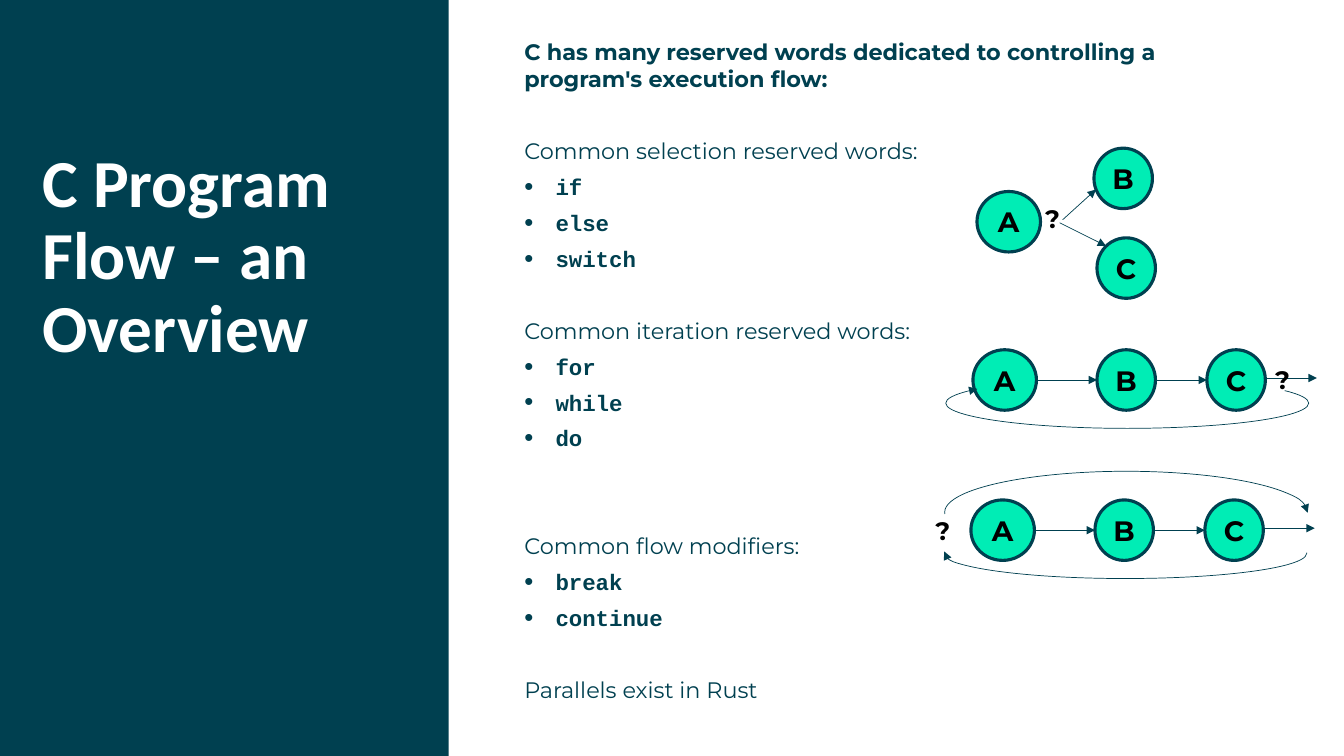
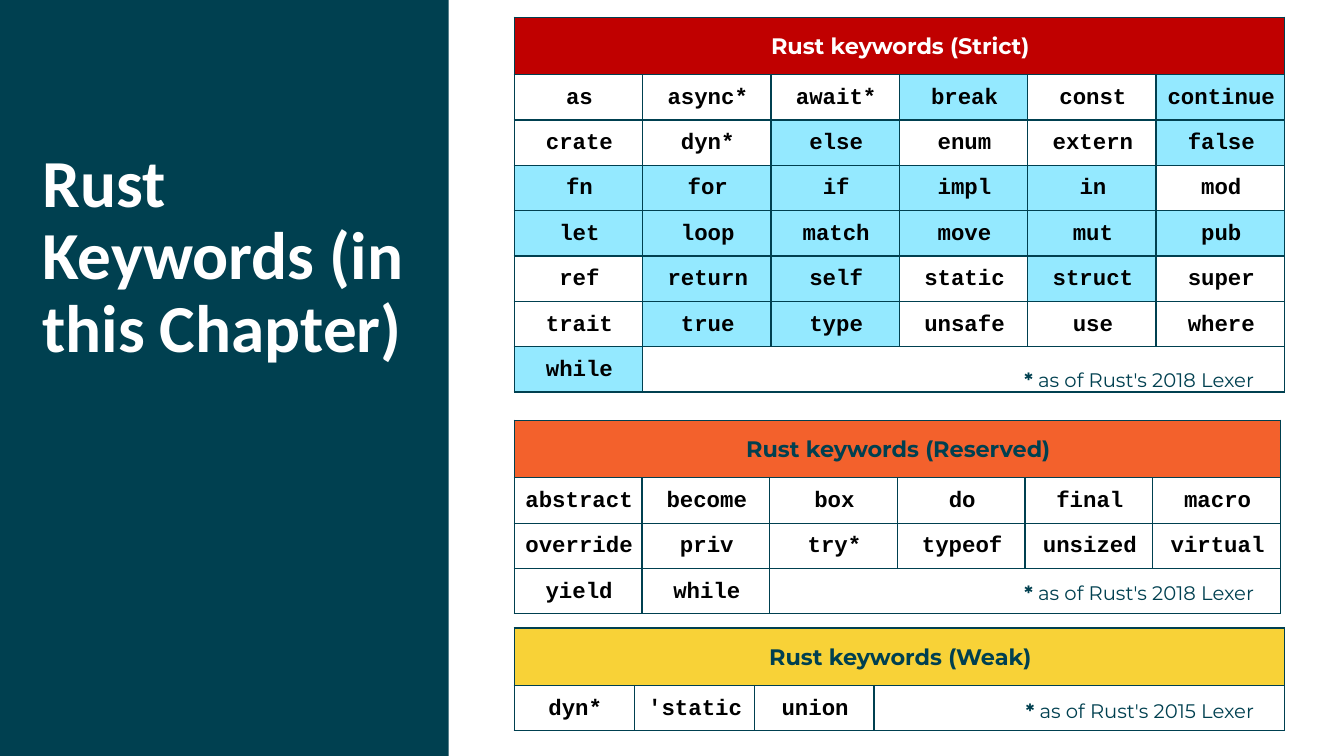
from dataclasses import dataclass

from lxml import etree
from pptx import Presentation
from pptx.dml.color import RGBColor
from pptx.enum.shapes import MSO_CONNECTOR, MSO_SHAPE
from pptx.enum.text import MSO_ANCHOR, PP_ALIGN
from pptx.oxml.ns import qn
from pptx.util import Inches, Pt

RECT, OVAL, ARC = MSO_SHAPE.RECTANGLE, MSO_SHAPE.OVAL, MSO_SHAPE.ARC
STRAIGHT = MSO_CONNECTOR.STRAIGHT
LEFT, CENTER, RIGHT = PP_ALIGN.LEFT, PP_ALIGN.CENTER, PP_ALIGN.RIGHT
MIDDLE = MSO_ANCHOR.MIDDLE


@dataclass(frozen=True)
class Theme:
    dark: str = "004050"
    white: str = "FFFFFF"
    black: str = "000000"
    node: str = "00EDB5"
    used: str = "94E9FF"
    strict: str = "C00000"
    reserved: str = "F3612C"
    weak: str = "F8D237"
    title_font: str = "Calibri"
    body_font: str = "Montserrat"
    code_font: str = "Courier New"
    title_size: float = 48
    node_size: float = 20
    mark_size: float = 18
    body_size: float = 16
    note_size: float = 14
    line_pitch: float = 19.3
    para_gap: float = 6.35
    thin: float = 0.5
    thick: float = 2.25
    border: float = 1


T = Theme()
WIDTH, HEIGHT = 13.33, 7.5
PANEL_WIDTH = 4.45

# Content: flow overview (heading, code words, blank lines above)
FLOW_TITLE = "C Program Flow – an Overview"
FLOW_INTRO = "C has many reserved words dedicated to controlling a program's execution flow:"
FLOW_GROUPS = [
    ("Common selection reserved words:", ["if", "else", "switch"], 1),
    ("Common iteration reserved words:", ["for", "while", "do"], 1),
    ("Common flow modifiers:", ["break", "continue"], 2),
    ("Parallels exist in Rust", [], 1),
]
BRANCH_NODES = [("A", 9.69, 1.9, 0.63), ("B", 10.85, 1.47, 0.58), ("C", 10.88, 2.36, 0.58)]
BRANCH_MARK = (10.1, 1.97)
BRANCH_ARROWS = [(10.54, 2.18, 10.87, 1.88), (10.51, 2.21, 10.97, 2.44)]

# Chains: nodes and arrows are measured from the top left of node A
CHAIN_NODES = [("A", 0, 0.63), ("B", 1.23, 0.58), ("C", 2.32, 0.58)]
CHAIN_ARROWS = [(0.63, 1.23, 0.3), (1.81, 2.32, 0.3), (2.9, 3.41, 0.28)]
NODE_HEIGHT = 0.6
LOOP_LENGTH = 3.6
LOOP_ANGLES = {"below": (159.27, 57.25), "wide": (161.87, 54.36)}
# left, top, question mark offset, loops (centre offset x, y, depth, angles, over)
CHAINS = [
    (9.65, 3.47, 2.73, [(1.53, 0.53, 0.5, "below", False)]),
    (9.63, 4.96, -0.62, [(1.53, 0.53, 0.5, "wide", False),
                         (1.54, 0.12, 0.81, "wide", True)]),
]

# Content: keyword tables
KEYWORD_TITLE = "Rust Keywords (in this Chapter)"
COLS = 6
HEAD_ROW, WORD_ROW = 0.57, 0.45
TABLE_LEFT = 5.1
TABLES = [
    dict(title="Rust keywords (Strict)", fill=T.strict, color=T.white, top=0.17,
         widths=[7.64 / COLS] * COLS, note="2018", note_top=3.65,
         words="as async* await* break const continue crate dyn* else enum extern false "
               "fn for if impl in mod let loop match move mut pub ref return self static "
               "struct super trait true type unsafe use where while",
         used="break continue else false fn for if impl in let loop match move mut pub "
              "return self struct true type while"),
    dict(title="Rust keywords (Reserved)", fill=T.reserved, color=T.dark, top=4.17,
         widths=[7.6 / COLS] * COLS, note="2018", note_top=5.76,
         words="abstract become box do final macro override priv try* typeof unsized "
               "virtual yield while", used=""),
    dict(title="Rust keywords (Weak)", fill=T.weak, color=T.dark, top=6.23,
         widths=[1.19] * 5 + [1.69], note="2015", note_top=6.93,
         words="dyn* 'static union", used=""),
]


def rgb(value):
    return RGBColor.from_string(value)


def style(r, size, color, font=T.body_font, bold=True):
    r.font.size, r.font.name, r.font.bold = Pt(size), font, bold
    r.font.color.rgb = rgb(color)


def write(p, text, size, color, font=T.body_font, bold=True, align=LEFT):
    p.text = text
    p.alignment = align
    for r in p.runs:
        style(r, size, color, font, bold)


def no_insets(tf):
    tf.margin_left = tf.margin_top = tf.margin_right = tf.margin_bottom = 0


def text_box(s, x, y, w, h, insets=False):
    tf = s.shapes.add_textbox(Inches(x), Inches(y), Inches(w), Inches(h)).text_frame
    tf.word_wrap = True
    if not insets:
        no_insets(tf)
    return tf


def add_shape(s, kind, x, y, w, h, fill=None, line=None):
    sp = s.shapes.add_shape(kind, Inches(x), Inches(y), Inches(w), Inches(h))
    sp.shadow.inherit = False
    if fill:
        sp.fill.solid()
        sp.fill.fore_color.rgb = rgb(fill)
    else:
        sp.fill.background()
    if line:
        sp.line.color.rgb = rgb(T.dark)
        sp.line.width = Pt(line)
    else:
        sp.line.fill.background()
    return sp


def arrowhead(sp, end="tailEnd"):
    etree.SubElement(sp.line._get_or_add_ln(), qn("a:" + end), type="triangle")


def arrow(s, x1, y1, x2, y2):
    c = s.shapes.add_connector(STRAIGHT, Inches(x1), Inches(y1), Inches(x2), Inches(y2))
    c.line.color.rgb = rgb(T.dark)
    c.line.width = Pt(T.thin)
    arrowhead(c)
    etree.SubElement(c._element.spPr, qn("a:effectLst"))


def node(s, label, x, y, w):
    tf = add_shape(s, OVAL, x, y, w, NODE_HEIGHT, T.node, T.thick).text_frame
    no_insets(tf)
    tf.vertical_anchor = MIDDLE
    write(tf.paragraphs[0], label, T.node_size, T.black, align=CENTER)


def question_mark(s, x, y):
    tf = text_box(s, x, y, 0.68, 0.4, insets=True)
    write(tf.paragraphs[0], "?", T.mark_size, T.black, align=CENTER)


def loop_arc(s, cx, cy, depth, angles, over):
    """A half loop around a centre, drawn upright and turned a quarter."""
    sp = add_shape(s, ARC, cx - depth / 2, cy - LOOP_LENGTH / 2, depth, LOOP_LENGTH,
                   line=T.thin)
    sp.adjustments[0], sp.adjustments[1] = LOOP_ANGLES[angles]
    sp.rotation = 90
    if over:
        sp._element.spPr.find(qn("a:xfrm")).set("flipH", "1")
    arrowhead(sp, "headEnd" if over else "tailEnd")


def bullet(p):
    pPr = p._p.get_or_add_pPr()
    pPr.set("marL", str(Inches(0.31)))
    pPr.set("indent", str(-Inches(0.31)))
    etree.SubElement(pPr, qn("a:buSzPct"), val="115000")
    etree.SubElement(pPr, qn("a:buFont"), typeface="Arial")
    etree.SubElement(pPr, qn("a:buChar"), char="•")


def base_slide(prs, title):
    """White slide with the dark side panel and its title."""
    s = prs.slides.add_slide(prs.slide_layouts[6])
    add_shape(s, RECT, 0, 0, PANEL_WIDTH, HEIGHT, T.dark)
    p = text_box(s, 0.42, 1.48, 3.77, 3.01).paragraphs[0]
    write(p, title, T.title_size, T.white, T.title_font)
    p.line_spacing = 0.9
    return s


def flow_text(s):
    tf = text_box(s, 5.2, 0.38, 6.85, 6.7)

    def paragraph(text, blanks=0, first=False, **look):
        p = tf.paragraphs[0] if first else tf.add_paragraph()
        p.line_spacing, p.space_after = Pt(T.line_pitch), Pt(T.para_gap)
        if blanks:
            p.space_before = Pt(blanks * (T.line_pitch + T.para_gap))
        if look.get("font") == T.code_font:
            bullet(p)
        write(p, text, T.body_size, T.dark, **look)

    paragraph(FLOW_INTRO, first=True)
    for heading, words, blanks in FLOW_GROUPS:
        paragraph(heading, blanks, bold=False)
        for word in words:
            paragraph(word, font=T.code_font)


def flow_diagrams(s):
    # Selection
    for spot in BRANCH_NODES:
        node(s, *spot)
    question_mark(s, *BRANCH_MARK)
    for ends in BRANCH_ARROWS:
        arrow(s, *ends)
    # Iteration, tested at the end and at the start
    for x, y, mark, loops in CHAINS:
        for label, dx, w in CHAIN_NODES:
            node(s, label, x + dx, y, w)
        for x1, x2, dy in CHAIN_ARROWS:
            arrow(s, x + x1, y + dy, x + x2, y + dy)
        question_mark(s, x + mark, y + 0.1)
        for dx, dy, depth, angles, over in loops:
            loop_arc(s, x + dx, y + dy, depth, angles, over)


def format_cell(cell, fill, top, bottom, open_sides=""):
    cell.vertical_anchor = MIDDLE
    cell.margin_left, cell.margin_right = Inches(0.1), Inches(0.08)
    cell.margin_top, cell.margin_bottom = Inches(top), Inches(bottom)
    cell.fill.solid()
    cell.fill.fore_color.rgb = rgb(fill)
    tcPr = cell._tc.get_or_add_tcPr()
    for i, side in enumerate("LRTB"):
        ln = etree.Element(qn("a:ln" + side), w=str(Pt(T.border)))
        if side in open_sides:
            etree.SubElement(ln, qn("a:noFill"))
        else:
            solid = etree.SubElement(ln, qn("a:solidFill"))
            etree.SubElement(solid, qn("a:srgbClr"), val=T.dark)
        tcPr.insert(i, ln)


def keyword_table(s, spec):
    words, used = spec["words"].split(), spec["used"].split()
    rows = -(-len(words) // COLS)
    table = s.shapes.add_table(
        rows + 1, COLS, Inches(TABLE_LEFT), Inches(spec["top"]),
        Inches(sum(spec["widths"])), Inches(HEAD_ROW + rows * WORD_ROW)).table
    table.first_row = table.horz_banding = False
    for column, w in zip(table.columns, spec["widths"]):
        column.width = Inches(w)
    for i, row in enumerate(table.rows):
        row.height = Inches(WORD_ROW if i else HEAD_ROW)

    # Heading row
    for c in range(COLS):
        format_cell(table.cell(0, c), spec["fill"], 0.15, 0.14)
    table.cell(0, 0).merge(table.cell(0, COLS - 1))
    write(table.cell(0, 0).text_frame.paragraphs[0], spec["title"], T.body_size,
          spec["color"], align=CENTER)

    # Words, then empty cells without lines between them
    last = rows * COLS - 1
    for i in range(last + 1):
        cell = table.cell(1 + i // COLS, i % COLS)
        p = cell.text_frame.paragraphs[0]
        if i < len(words):
            format_cell(cell, T.used if words[i] in used else T.white, 0.1, 0.08)
            write(p, words[i], T.body_size, T.black, T.code_font, align=CENTER)
        else:
            sides = ("L" if i > len(words) else "") + ("R" if i < last else "")
            format_cell(cell, T.white, 0.1, 0.08, sides)
            etree.SubElement(p._p, qn("a:endParaRPr"), sz=str(T.note_size * 100))

    # Footnote
    p = text_box(s, 9.94, spec["note_top"], 2.5, 0.24).paragraphs[0]
    write(p, "*", T.note_size, T.dark, align=RIGHT)
    r = p.add_run()
    r.text = f" as of Rust's {spec['note']} Lexer"
    style(r, T.note_size, T.dark, bold=False)


def main():
    prs = Presentation()
    prs.slide_width, prs.slide_height = Inches(WIDTH), Inches(HEIGHT)
    s = base_slide(prs, FLOW_TITLE)
    flow_text(s)
    flow_diagrams(s)
    s = base_slide(prs, KEYWORD_TITLE)
    for table in TABLES:
        keyword_table(s, table)
    prs.save("out.pptx")


if __name__ == "__main__":
    main()
